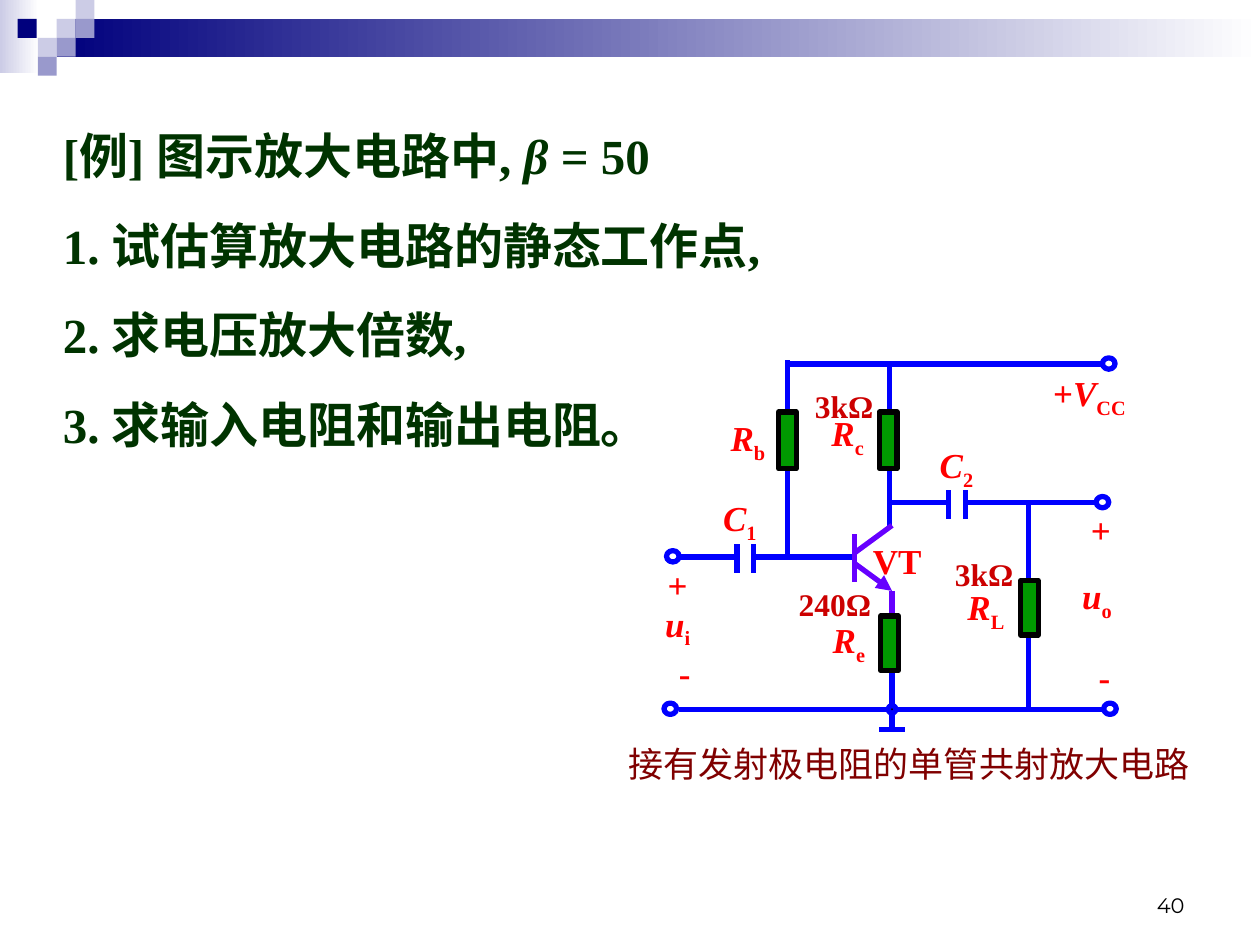
from lxml.etree import SubElement
from pptx import Presentation
from pptx.dml.color import RGBColor
from pptx.enum.shapes import MSO_CONNECTOR as CONN, MSO_SHAPE as SHAPE
from pptx.enum.text import MSO_ANCHOR, PP_ALIGN
from pptx.oxml.ns import qn
from pptx.util import Inches, Pt

COLORS = {
    "navy": "00007D", "pale": "CCCCE6", "mid": "9999CC", "white": "FFFFFF",
    "black": "000000", "question": "003300", "caption": "800000",
    "wire": "0000FF", "transistor": "6600FF", "resistor": "009900",
    "label": "FF0000", "value": "CC0000",
}
SERIF = "Times New Roman"
TOP, GROUND, INPUT, OUTPUT = 2.89, 5.63, 4.42, 3.99  # heights of the rails
BASE_X, EMITTER_X = 6.78, 7.08


def rgb(name):
    return RGBColor.from_string(COLORS[name])


def add_block(s, kind, x, y, w, h, fill=None, line=None):
    sp = s.shapes.add_shape(kind, Inches(x), Inches(y), Inches(w), Inches(h))
    sp.shadow.inherit = False
    if fill:
        sp.fill.solid()
        sp.fill.fore_color.rgb = rgb(fill)
    else:
        sp.fill.background()
    if line:
        sp.line.color.rgb = rgb(line)
        sp.line.width = Pt(3)
    else:
        sp.line.fill.background()
    return sp


def add_fade(s, x, y, w, h, start):
    """Rectangle that fades from a colour to white, left to right."""
    sp = add_block(s, SHAPE.RECTANGLE, x, y, w, h)
    sp.fill.gradient()
    sp.fill.gradient_angle = 0
    for stop, color in zip(sp.fill.gradient_stops, (start, "white")):
        stop.color.rgb = rgb(color)


def add_line(s, x1, y1, x2, y2, color="wire", arrow=False):
    ln = s.shapes.add_connector(CONN.STRAIGHT, Inches(x1), Inches(y1), Inches(x2), Inches(y2))
    ln.line.color.rgb = rgb(color)
    ln.line.width = Pt(3)
    if arrow:
        SubElement(ln.line._get_or_add_ln(), qn("a:tailEnd"), type="triangle")
    SubElement(ln._element.spPr, qn("a:effectLst"))


def add_text(s, x, y, w, h, paragraphs, size, color, bold=True, font=SERIF, gap=0):
    """Text box; each paragraph is a list of (text, style), style "", "i" or "sub"."""
    tf = s.shapes.add_textbox(Inches(x), Inches(y), Inches(w), Inches(h)).text_frame
    tf.word_wrap = True
    for i, parts in enumerate(paragraphs):
        p = tf.add_paragraph() if i else tf.paragraphs[0]
        if i:
            p.space_before = Pt(gap)
        for text, style in parts:
            r = p.add_run()
            r.text = text
            r.font.name = font
            r.font.size = Pt(size)
            r.font.bold = bold
            r.font.italic = style == "i"
            r.font.color.rgb = rgb(color)
            if style == "sub":
                r._r.get_or_add_rPr().set("baseline", "-25000")
    return tf


def add_label(s, x, y, w, symbol, sub):
    add_text(s, x, y, w, 0.48, [[(symbol, "i"), (sub, "sub")]], 20, "label")


def add_header(s):
    add_fade(s, 0, 0, 0.31, 0.58, "pale")
    add_fade(s, 0.45, 0.15, 9.55, 0.3, "navy")
    for x, y, color in [(0.45, 0.15, "pale"), (0.6, 0, "pale"), (0.6, 0.15, "mid"),
                        (0.3, 0.3, "pale"), (0.14, 0.15, "navy"),
                        (0.45, 0.3, "mid"), (0.3, 0.45, "mid")]:
        add_block(s, SHAPE.RECTANGLE, x, y, 0.15, 0.15, color)


def add_question(s):
    add_text(s, 0.4, 0.95, 6.58, 2.7, [
        [("[例] 图示放大电路中, ", ""), ("β ", "i"), ("= 50", "")],
        [("1. 试估算放大电路的静态工作点,", "")],
        [("2. 求电压放大倍数,", "")],
        [("3. 求输入电阻和输出电阻。", "")],
    ], 28, "question", gap=17.5)


def add_transistor(s):
    add_line(s, EMITTER_X, 4.69, EMITTER_X, 5.07, "transistor")
    add_line(s, BASE_X, 4.24, BASE_X, 4.62, "transistor")
    add_line(s, BASE_X, 4.39, EMITTER_X, 4.17, "transistor")
    add_line(s, BASE_X, 4.47, EMITTER_X, 4.69, "transistor", arrow=True)


def add_circuit(s):
    wires = [
        (6.25, 2.86, 6.25, 4.44), (7.06, 4.19, 7.06, TOP), (8.16, 3.98, 8.16, 5.64),
        (6.25, TOP, 8.76, TOP), (5.39, GROUND, 8.77, GROUND),
        (EMITTER_X, OUTPUT, 7.51, OUTPUT), (7.68, OUTPUT, 8.72, OUTPUT),
        (5.4, INPUT, 5.85, INPUT), (6, INPUT, BASE_X, INPUT),
        (EMITTER_X, 4.94, EMITTER_X, 5.78), (6.98, 5.79, 7.18, 5.79),
    ]
    for wire in wires:
        add_line(s, *wire)
    for x, y in [(5.85, 4.32), (7.53, 3.89)]:  # capacitors
        for plate in (x, x + 0.13):
            add_line(s, plate, y, plate, y + 0.23)
    add_transistor(s)
    for x, y, h in [(6.18, 3.27, 0.45), (6.98, 3.27, 0.45), (8.1, 4.61, 0.43), (6.99, 4.89, 0.43)]:
        add_block(s, SHAPE.RECTANGLE, x, y, 0.14, h, "resistor", "black")
    for x, rail in [(8.75, TOP), (8.7, OUTPUT), (5.29, INPUT), (5.27, GROUND), (8.76, GROUND)]:
        add_block(s, SHAPE.OVAL, x, rail - 0.05, 0.1, 0.09, line="wire")
    add_block(s, SHAPE.OVAL, 7.05, 5.6, 0.06, 0.06, "black", "wire")


def add_circuit_labels(s):
    for label in [(5.7, 3.26, 0.54, "R", "b"), (6.5, 3.22, 0.5, "R", "c"),
                  (7.58, 4.6, 0.56, "R", "L"), (6.51, 4.86, 0.6, "R", "e"),
                  (5.64, 3.89, 0.53, "C", "1"), (7.36, 3.47, 0.62, "C", "2"),
                  (5.18, 4.73, 0.53, "u", "i"), (8.49, 4.51, 0.58, "u", "o")]:
        add_label(s, *label)
    add_text(s, 8.26, 2.9, 0.93, 0.48, [[("+", ""), ("V", "i"), ("CC", "sub")]], 20, "label")
    for x, y, w, text in [(6.83, 4.23, 0.83, "VT"), (5.2, 4.42, 0.43, "+"), (5.29, 5.12, 0.51, "-"),
                          (8.56, 3.99, 0.43, "+"), (8.62, 5.15, 0.51, "-")]:
        add_text(s, x, y, w, 0.44, [[(text, "")]], 20, "label")
    for x, y, w, text in [(6.24, 4.59, 0.9, "240Ω"), (7.48, 4.36, 0.86, "3kΩ"),
                          (6.37, 3.02, 0.86, "3kΩ")]:
        add_text(s, x, y, w, 0.4, [[(text, "")]], 18, "value")
    add_text(s, 4.89, 5.84, 4.73, 0.44, [[("接有发射极电阻的单管共射放大电路", "")]],
             20, "caption", bold=False)


def add_page_number(s):
    tf = add_text(s, 7.17, 6.83, 2.33, 0.5, [[("40", "")]], 12, "black",
                  bold=False, font="Montserrat")
    tf.vertical_anchor = MSO_ANCHOR.BOTTOM
    tf.paragraphs[0].alignment = PP_ALIGN.RIGHT


def main():
    prs = Presentation()
    prs.slide_width, prs.slide_height = Inches(10), Inches(7.5)
    s = prs.slides.add_slide(prs.slide_layouts[6])
    add_header(s)
    add_page_number(s)
    add_question(s)
    add_circuit(s)
    add_circuit_labels(s)
    prs.save("out.pptx")


if __name__ == "__main__":
    main()
